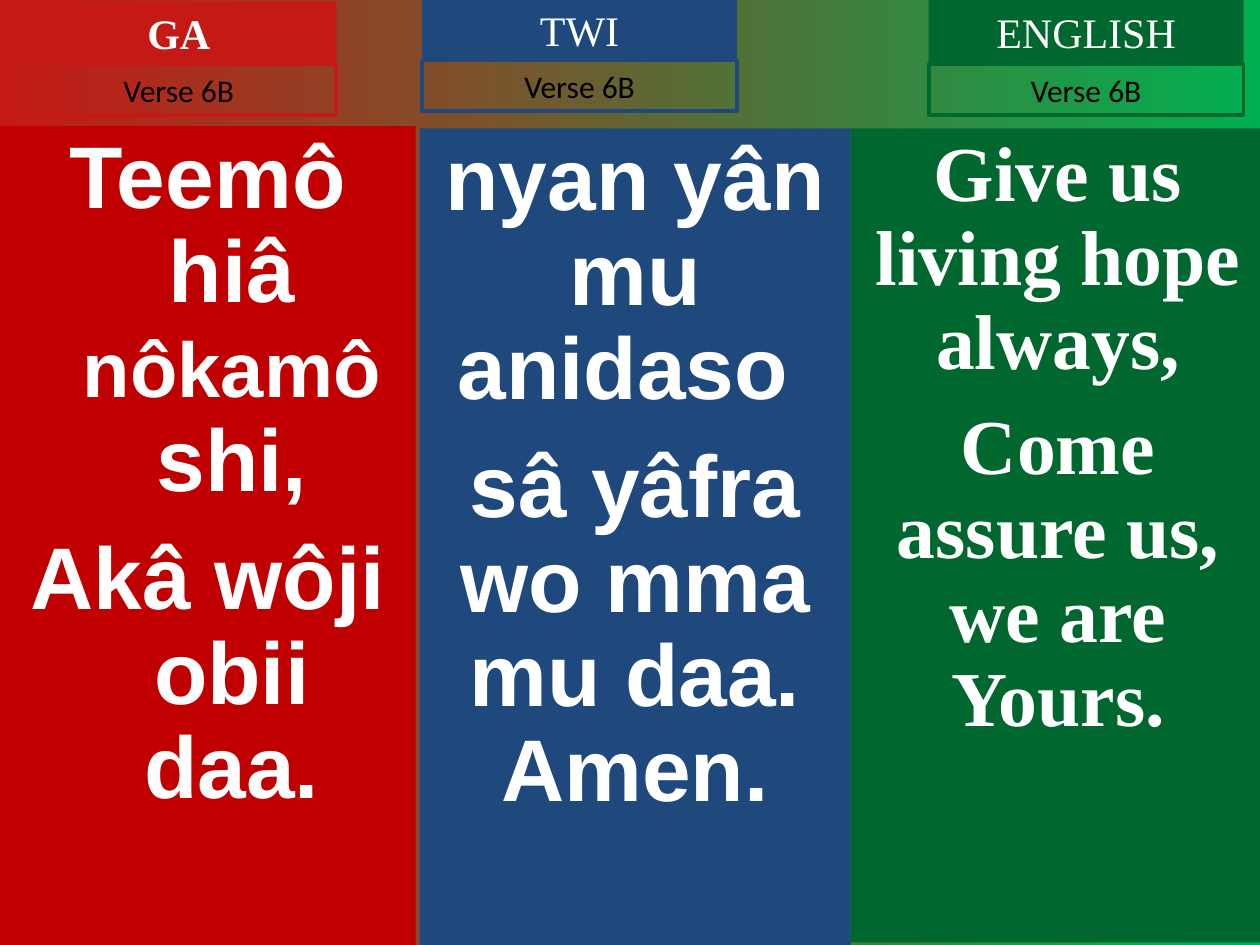
from lxml.etree import SubElement
from pptx import Presentation
from pptx.dml.color import RGBColor
from pptx.enum.shapes import MSO_SHAPE
from pptx.enum.text import MSO_ANCHOR, MSO_AUTO_SIZE, PP_ALIGN
from pptx.oxml.ns import qn
from pptx.util import Cm, Pt

SCARLET = RGBColor(0xC5, 0x19, 0x15)
RED = RGBColor(0xC0, 0x00, 0x00)
BLUE = RGBColor(0x1F, 0x49, 0x7D)
GREEN = RGBColor(0x00, 0x68, 0x2F)
LIGHT_GREEN = RGBColor(0x00, 0xB0, 0x50)
WHITE = RGBColor(0xFF, 0xFF, 0xFF)
BLACK = RGBColor(0x00, 0x00, 0x00)

SERIF = "Times New Roman"
LABEL_W, HEADING_H, VERSE_H = 6.35, 1.27, 1.02


def add_rect(slide):
    sp = slide.shapes.add_shape(MSO_SHAPE.RECTANGLE, 0, 0, 0, 0)
    sp.shadow.inherit = False
    return sp


def place(sp, box, fill=None, line=None):
    sp.left, sp.top, sp.width, sp.height = (Cm(v) for v in box)
    if fill is None:
        sp.fill.background()
    else:
        sp.fill.solid()
        sp.fill.fore_color.rgb = fill
    if line is None:
        sp.line.fill.background()
    else:
        sp.line.color.rgb = line
        sp.line.width = Pt(2.25)


def write(sp, paragraphs, font, color, bold=False, spacing=1.0, before=0, hanging=0):
    tf = sp.text_frame
    tf.word_wrap = True
    tf.auto_size = MSO_AUTO_SIZE.NONE
    tf.vertical_anchor = MSO_ANCHOR.TOP
    tf.margin_left = tf.margin_right = Cm(0.25)
    tf.margin_top = tf.margin_bottom = Cm(0.13)
    for i, runs in enumerate(paragraphs):
        p = tf.add_paragraph() if i else tf.paragraphs[0]
        pPr = p._p.get_or_add_pPr()
        pPr.set("marL", str(Cm(hanging)))
        pPr.set("indent", str(-Cm(hanging)))
        SubElement(pPr, qn("a:buNone"))
        p.alignment = PP_ALIGN.CENTER
        p.line_spacing = spacing
        p.space_before = Pt(before if i else 0)
        for text, size in runs:
            r = p.add_run()
            r.text = text
            r.font.name = font
            r.font.size = Pt(size)
            r.font.bold = bold
            r.font.color.rgb = color


def add_label(slide, heading, box, verse_top, name, color, bold=False):
    left, top = box
    place(heading, (left, top, LABEL_W, HEADING_H), fill=color)
    write(heading, [[(name, 24)]], SERIF, WHITE, bold)
    verse = add_rect(slide)
    place(verse, (left, verse_top, LABEL_W, VERSE_H), line=color)
    write(verse, [[("Verse 6B", 18)]], "Calibri", BLACK)


def fill_panel(sp, box, color, paragraphs, font, before, hanging=0):
    place(sp, box, fill=color)
    write(sp, paragraphs, font, WHITE, True, 0.9, before, hanging)


def main():
    prs = Presentation()
    prs.slide_width, prs.slide_height = Cm(25.4), Cm(19.05)
    slide = prs.slides.add_slide(prs.slide_layouts[3])

    bg = slide.background.fill
    bg.gradient()
    bg.gradient_angle = 0
    for stop, color, position in zip(bg.gradient_stops, (SCARLET, LIGHT_GREEN), (0, 1)):
        stop.color.rgb = color
        stop.position = position

    title, ga, twi = slide.placeholders
    fill_panel(ga, (0, 2.54, 8.38, 16.51), RED,
               [[("Teemô hiâ ", 50), ("nôkamô", 44.4), (" shi,", 50)],
                [("Akâ wôji obii daa.", 50)]],
               "Arial", 13.5, hanging=0.97)
    fill_panel(twi, (8.46, 2.59, 8.69, 16.46), BLUE,
               [[("nyan yân mu anidaso ", 50)],
                [("sâ yâfra wo mma mu daa. Amen.", 50)]],
               "Arial", 13.5)
    fill_panel(add_rect(slide), (17.15, 2.59, 8.36, 16.41), GREEN,
               [[("Give us living hope always,", 44.4)],
                [("Come assure us, we are Yours.", 44.4)]],
               SERIF, 12)

    add_label(slide, title, (0.43, 0.03), 1.3, "GA", SCARLET, bold=True)
    add_label(slide, add_rect(slide), (8.51, -0.03), 1.22, "TWI", BLUE)
    add_label(slide, add_rect(slide), (18.72, 0), 1.3, "ENGLISH", GREEN)

    prs.save("out.pptx")


if __name__ == "__main__":
    main()
